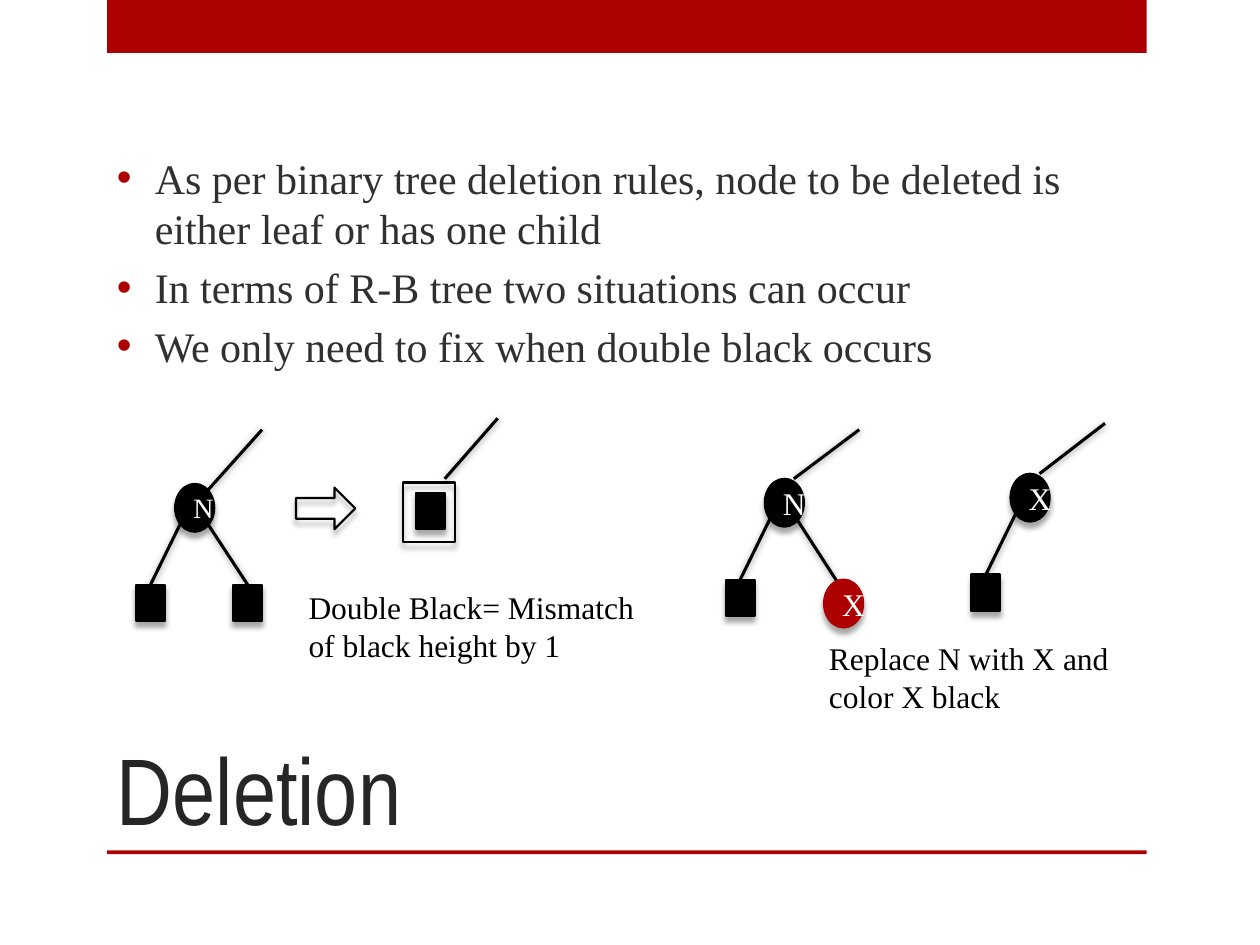
from dataclasses import dataclass
from typing import Optional

from lxml.etree import SubElement
from pptx import Presentation
from pptx.dml.color import RGBColor
from pptx.enum.shapes import MSO_CONNECTOR as Connector, MSO_SHAPE as Preset
from pptx.enum.text import MSO_ANCHOR as Anchor, PP_ALIGN as Align
from pptx.oxml.ns import qn
from pptx.util import Inches, Pt

COLORS = {"red": "AD0101", "black": "000000", "white": "FFFFFF",
          "title": "262626", "body": "303030"}
SERIF, NARROW = "Times New Roman", "Arial Narrow"
COLUMNS, ROWS = 100, 75  # slide grid; every position below is in grid units
CELL = Inches(10) // COLUMNS
NODE_SIZE, LEAF_SIZE = (3.1, 3.8), (2.3, 2.9)


@dataclass(frozen=True)
class Shadow:
    alpha: int
    blur: float
    distance: float
    angle: int


@dataclass(frozen=True)
class Tree:
    left: float
    top: float
    label: str
    size: int
    parent_start: tuple[float, float]  # offsets from the node's corner
    parent_end: tuple[float, float]
    right_child: Optional[str] = None  # "leaf" or "red"


SHAPE_SHADOW, LINE_SHADOW = Shadow(35, 3, 3, 90), Shadow(40, 4, 1, 88)

TREES = [
    Tree(13.9, 38.4, "N", 16, (2.6, 0.5), (6.9, -4.3), "leaf"),
    Tree(60.7, 38.0, "N", 18, (2.3, 0), (7.5, -3.9), "red"),
    Tree(80.2, 37.6, "X", 18, (2.3, 0), (7.5, -4.0)),
]
BULLETS = [
    "As per binary tree deletion rules, node to be deleted is either leaf or has one child",
    "In terms of R-B tree two situations can occur",
    "We only need to fix when double black occurs",
]
CAPTIONS = [
    (23.5, 46.2, "Double Black= Mismatch of black height by 1"),
    (64.8, 50.2, "Replace N with X and color X black"),
]


def grid(*units: float) -> list[int]:
    return [round(unit * CELL) for unit in units]


def rgb(name: str) -> RGBColor:
    return RGBColor.from_string(COLORS[name])


def add_shadow(shape, shadow: Shadow) -> None:
    properties = shape._element.spPr
    effects = SubElement(properties, qn("a:effectLst"))
    outer = SubElement(effects, qn("a:outerShdw"), blurRad=str(Pt(shadow.blur)),
                       dist=str(Pt(shadow.distance)), dir=str(shadow.angle * 60000),
                       rotWithShape="0")
    color = SubElement(outer, qn("a:srgbClr"), val=COLORS["black"])
    SubElement(color, qn("a:alpha"), val=str(shadow.alpha * 1000))


def add_bullet(paragraph) -> None:
    properties = paragraph._p.get_or_add_pPr()
    properties.set("marL", str(Inches(0.3)))
    properties.set("indent", str(-Inches(0.3)))
    color = SubElement(properties, qn("a:buClr"))
    SubElement(color, qn("a:srgbClr"), val=COLORS["red"])
    SubElement(properties, qn("a:buFont"), typeface="Arial")
    SubElement(properties, qn("a:buChar"), char="•")


def write(shape, *lines: str, size: float = 18, font: str = SERIF, color: str = "black",
          anchor=Anchor.TOP, align=Align.LEFT, bullets: bool = False) -> None:
    frame = shape.text_frame
    frame.word_wrap = True
    frame.vertical_anchor = anchor
    for index, line in enumerate(lines):
        paragraph = frame.add_paragraph() if index else frame.paragraphs[0]
        paragraph.alignment = align
        if bullets:
            paragraph.space_before = Pt(size * 0.2)
            add_bullet(paragraph)
        run = paragraph.add_run()
        run.text = line
        run.font.size, run.font.name = Pt(size), font
        run.font.color.rgb = rgb(color)


def add_box(shapes, preset, left: float, top: float, size: tuple[float, float],
            fill: Optional[str] = "black", outlined: bool = True):
    shape = shapes.add_shape(preset, *grid(left, top, *size))
    if fill:
        shape.fill.solid()
        shape.fill.fore_color.rgb = rgb(fill)
    else:
        shape.fill.background()
    if outlined:
        shape.line.color.rgb = rgb(fill or "black")
        shape.line.width = Pt(1.25)
        add_shadow(shape, SHAPE_SHADOW)
    else:
        shape.line.fill.background()
        shape.shadow.inherit = False
    return shape


def add_node(shapes, left: float, top: float, label: str, size: int, fill: str = "black"):
    node = add_box(shapes, Preset.OVAL, left, top, NODE_SIZE, fill)
    write(node, label, size=size, color="white", anchor=Anchor.MIDDLE, align=Align.CENTER)


def add_edge(shapes, start: tuple[float, float], end: tuple[float, float], leaf=None) -> None:
    edge = shapes.add_connector(Connector.STRAIGHT, *grid(*start, *end))
    if leaf is not None:
        edge.end_connect(leaf, 0)
    edge.line.color.rgb = rgb("black")
    edge.line.width = Pt(1.75)
    add_shadow(edge, LINE_SHADOW)


def add_tree(shapes, tree: Tree) -> None:
    def at(across: float, down: float) -> tuple[float, float]:
        return tree.left + across, tree.top + down

    add_node(shapes, tree.left, tree.top, tree.label, tree.size)
    add_edge(shapes, at(*tree.parent_start), at(*tree.parent_end))
    left_leaf = add_box(shapes, Preset.RECTANGLE, *at(-3.1, 8), LEAF_SIZE)
    add_edge(shapes, at(0.4, 3.2), at(-2, 8), left_leaf)
    if tree.right_child == "leaf":
        right_leaf = add_box(shapes, Preset.RECTANGLE, *at(4.6, 8), LEAF_SIZE)
        add_edge(shapes, at(2.6, 3.2), at(5.7, 8), right_leaf)
    elif tree.right_child == "red":
        add_edge(shapes, at(2.6, 3.3), at(5.7, 8.1))
        add_node(shapes, *at(4.7, 8), "X", tree.size, "red")


def main() -> None:
    presentation = Presentation()
    presentation.slide_width, presentation.slide_height = COLUMNS * CELL, ROWS * CELL
    slide = presentation.slides.add_slide(presentation.slide_layouts[6])
    shapes = slide.shapes

    # Top band and bottom rule
    for top, height in ((0, 4.2), (67.5, 0.3)):
        add_box(shapes, Preset.RECTANGLE, 8.5, top, (82.5, height), "red", outlined=False)

    # Title and bullets
    title = shapes.add_textbox(*grid(8.3, 50, 74.2, 17.5))
    write(title, "Deletion", size=54, font=NARROW, color="title", anchor=Anchor.BOTTOM)
    body = shapes.add_textbox(*grid(8.3, 1.8, 82.5, 37.9))
    write(body, *BULLETS, size=24, color="body", anchor=Anchor.MIDDLE, bullets=True)

    # Trees before and after deletion
    for tree in TREES:
        add_tree(shapes, tree)

    # Arrow to the double black leaf
    add_box(shapes, Preset.RIGHT_ARROW, 23.5, 38.7, (4.7, 3.3), fill=None)
    double_black = shapes.add_group_shape().shapes
    add_box(double_black, Preset.RECTANGLE, 33, 39.1, LEAF_SIZE)
    add_box(double_black, Preset.RECTANGLE, 32, 38.3, (4.1, 4.7), fill=None)
    add_edge(shapes, (35.3, 38), (39.5, 33.2))

    # Captions
    for left, top, text in CAPTIONS:
        write(shapes.add_textbox(*grid(left, top, 29.1, 7.1)), text)

    presentation.save("out.pptx")


if __name__ == "__main__":
    main()
